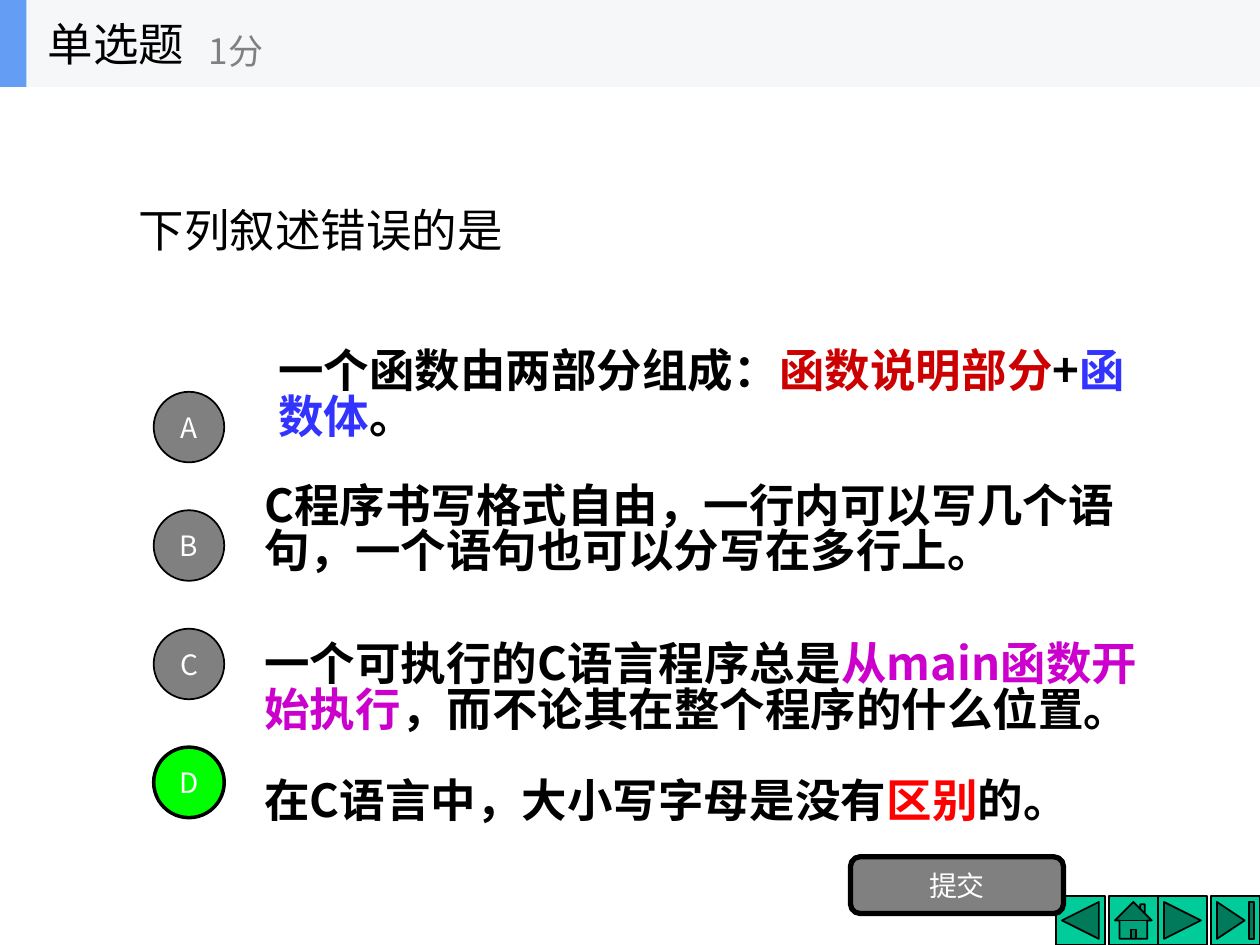
"""Build a single-choice quiz slide about C programs."""
from lxml import etree
from pptx import Presentation
from pptx.dml.color import RGBColor
from pptx.enum.shapes import MSO_SHAPE
from pptx.enum.text import MSO_ANCHOR, MSO_AUTO_SIZE, PP_ALIGN
from pptx.oxml.ns import qn
from pptx.util import Inches, Pt

MIDDLE, NO_FIT = MSO_ANCHOR.MIDDLE, MSO_AUTO_SIZE.NONE
LEFT, CENTER = PP_ALIGN.LEFT, PP_ALIGN.CENTER
RECTANGLE, ROUNDED, OVAL = MSO_SHAPE.RECTANGLE, MSO_SHAPE.ROUNDED_RECTANGLE, MSO_SHAPE.OVAL
FONT = "Noto Sans CJK SC"
COLORS = {
    "black": "000000", "white": "FFFFFF", "gray": "808080", "green": "00FF00",
    "teal": "00CC99", "bar": "F6F7F8", "accent": "639EF4", "dark red": "CC0000",
    "red": "FF0000", "blue": "3333FF", "purple": "CC00CC",
}


def write_text(shape, runs, size=26, color="black", bold=False, align=LEFT, spacing=0.83):
    """Fill a shape with one paragraph of (text, color) runs or a plain string."""
    frame = shape.text_frame
    frame.auto_size = NO_FIT
    frame.word_wrap = True
    frame.vertical_anchor = MIDDLE
    paragraph = frame.paragraphs[0]
    paragraph.alignment = align
    paragraph.line_spacing = spacing
    for text, run_color in [(runs, color)] if isinstance(runs, str) else runs:
        run = paragraph.add_run()
        run.text = text
        run.font.name = FONT
        run.font.size = Pt(size)
        run.font.bold = bold
        run.font.color.rgb = RGBColor.from_string(COLORS[run_color])
        east_asian = etree.SubElement(run.font._element, qn("a:ea"))
        east_asian.set("typeface", FONT)


def add_filled_shape(kind, left, top, width, height, fill, line_width=0):
    """Add a preset shape with a solid fill and an optional black outline."""
    shape = slide.shapes.add_shape(kind, Inches(left), Inches(top), Inches(width), Inches(height))
    shape.shadow.inherit = False
    shape.fill.solid()
    shape.fill.fore_color.rgb = RGBColor.from_string(COLORS[fill])
    if line_width:
        shape.line.color.rgb = RGBColor.from_string(COLORS["black"])
        shape.line.width = Pt(line_width)
    else:
        shape.line.fill.background()
    return shape


presentation = Presentation()
presentation.slide_width, presentation.slide_height = Inches(10), Inches(7.5)
slide = presentation.slides.add_slide(presentation.slide_layouts[5])

navigation = [
    (MSO_SHAPE.ACTION_BUTTON_FORWARD_OR_NEXT, 9.19),
    (MSO_SHAPE.ACTION_BUTTON_HOME, 8.8),
    (MSO_SHAPE.ACTION_BUTTON_BACK_OR_PREVIOUS, 8.38),
    (MSO_SHAPE.ACTION_BUTTON_END, 9.61),
]
for kind, left in navigation:
    add_filled_shape(kind, left, 7.11, 0.39, 0.39, "teal", 1)

question = slide.shapes.title
question.left, question.top = Inches(1), Inches(0.69)
question.width, question.height = Inches(8), Inches(2.34)
write_text(question, "下列叙述错误的是")

options = [
    (2.11, 2.67, 7, 0.96, [("一个函数由两部分组成：", "black"), ("函数说明部分", "dark red"),
                           ("+", "black"), ("函数体", "blue"), ("。", "black")]),
    (2, 3.76, 7, 0.92, "C程序书写格式自由，一行内可以写几个语句，一个语句也可以分写在多行上。"),
    (2, 4.92, 7.43, 1.11, [("一个可执行的C语言程序总是", "black"), ("从main函数开始执行", "purple"),
                           ("，而不论其在整个程序的什么位置。", "black")]),
    (2, 6.03, 7, 0.7, [("在C语言中，大小写字母是没有", "black"), ("区别", "red"), ("的。", "black")]),
]
for index, (left, top, width, height, runs) in enumerate(options):
    option = slide.shapes.add_textbox(Inches(left), Inches(top), Inches(width), Inches(height))
    write_text(option, runs, bold=True)
    letter = "ABCD"[index]
    correct = letter == "D"
    marker = add_filled_shape(OVAL, 1.22, 3.11 + 0.94 * index, 0.56, 0.56,
                              "green" if correct else "gray", 2 if correct else 1)
    write_text(marker, letter, size=16, color="white", align=CENTER, spacing=1)

submit_button = add_filled_shape(ROUNDED, 6.75, 6.8, 1.69, 0.45, "gray", 3)
write_text(submit_button, "提交", size=16, color="white", align=CENTER, spacing=1)

add_filled_shape(RECTANGLE, 0, 0, 10, 0.69, "bar")
add_filled_shape(RECTANGLE, 0, 0, 0.21, 0.69, "accent")
question_type = slide.shapes.add_textbox(Inches(0.28), 0, Inches(2.08), Inches(0.69))
write_text(question_type, "单选题", spacing=1)
score = slide.shapes.add_textbox(Inches(1.56), Inches(0.12), Inches(2.5), Inches(0.56))
write_text(score, "1分", size=20, color="gray", spacing=1)

presentation.save("out.pptx")
